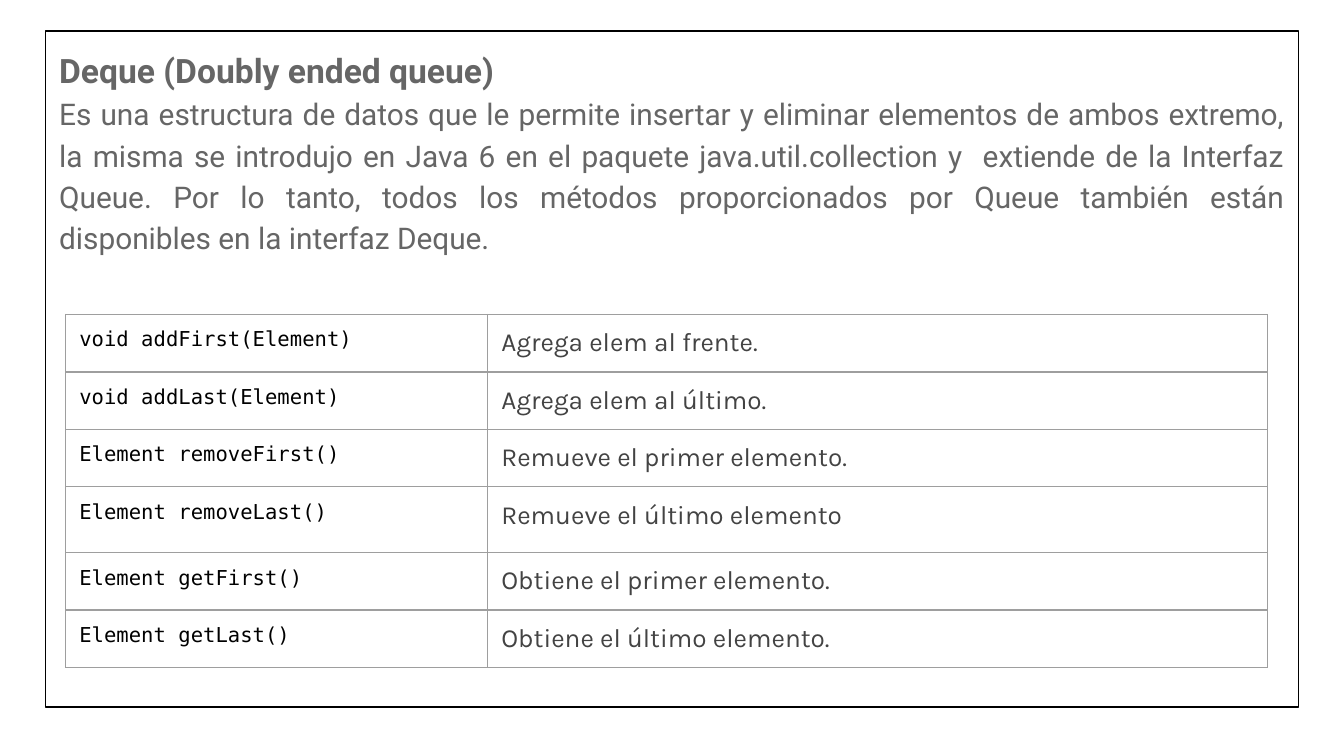
from lxml import etree
from pptx import Presentation
from pptx.dml import color
from pptx.enum import text
from pptx.oxml import ns
from pptx.util import Inches, Pt

SLIDE_WIDTH = 10
HEADING = "Deque (Doubly ended queue)"
DESCRIPTION = (
    "Es una estructura de datos que le permite insertar y eliminar elementos "
    "de ambos extremo, la misma se introdujo en Java 6 en el paquete "
    "java.util.collection y  extiende de la Interfaz Queue. Por lo tanto, "
    "todos los métodos proporcionados por Queue también están disponibles "
    "en la interfaz Deque. "
)
METHODS = [
    ("void addFirst(Element)", "Agrega elem al frente."),
    ("void addLast(Element)", "Agrega elem al último."),
    ("Element removeFirst()", "Remueve el primer elemento."),
    ("Element removeLast()", "Remueve el último elemento"),
    ("Element getFirst()", "Obtiene el primer elemento."),
    ("Element getLast()", "Obtiene el último elemento."),
]
COLUMN_WIDTHS = (3.14, 5.8)
ROW_HEIGHT = 0.41
TALL_ROW, TALL_ROW_HEIGHT = 3, 0.49


def rgb(value):
    return color.RGBColor.from_string(value)


def set_margins(target):
    for side in ("left", "right", "top", "bottom"):
        setattr(target, f"margin_{side}", Inches(0.1))


def write(paragraph, content, *, size, font, fill, bold=False):
    run = paragraph.add_run()
    run.text = content
    run.font.size = Pt(size)
    run.font.name = font
    run.font.bold = bold
    run.font.color.rgb = rgb(fill)


def format_body_paragraph(paragraph):
    properties = paragraph._p.get_or_add_pPr()
    properties.set("marL", "0")
    properties.set("indent", "0")
    etree.SubElement(properties, ns.qn("a:buNone"))
    paragraph.alignment = text.PP_ALIGN.JUSTIFY
    paragraph.line_spacing = 1.15
    paragraph.space_before = Pt(0)
    paragraph.space_after = Pt(0)


def fill_description(body):
    body.left, body.top = Inches(0.34), Inches(0.23)
    body.width, body.height = Inches(9.32), Inches(5.03)
    body.line.color.rgb = rgb("000000")
    body.line.width = Pt(0.75)
    frame = body.text_frame
    frame.word_wrap = True
    frame.auto_size = text.MSO_AUTO_SIZE.NONE
    frame.vertical_anchor = text.MSO_ANCHOR.TOP
    set_margins(frame)
    heading, description = frame.paragraphs[0], frame.add_paragraph()
    for paragraph in (heading, description):
        format_body_paragraph(paragraph)
    write(heading, HEADING, size=18, font="Roboto", fill="666666", bold=True)
    write(description, DESCRIPTION, size=16, font="Roboto", fill="666666")


def set_borders(cell, line_color, width):
    properties = cell._tc.get_or_add_tcPr()
    for side in ("lnL", "lnR", "lnT", "lnB"):
        line = etree.SubElement(properties, ns.qn(f"a:{side}"), w=str(Pt(width)))
        fill = etree.SubElement(line, ns.qn("a:solidFill"))
        etree.SubElement(fill, ns.qn("a:srgbClr"), val=line_color)


def fill_cell(cell, content, **text_format):
    set_margins(cell)
    set_borders(cell, "9E9E9E", 0.75)
    cell.fill.background()
    write(cell.text_frame.paragraphs[0], content, **text_format)


def add_method_table(slide):
    heights = [ROW_HEIGHT] * len(METHODS)
    heights[TALL_ROW] = TALL_ROW_HEIGHT
    table = slide.shapes.add_table(
        len(METHODS), len(COLUMN_WIDTHS), Inches(0.49), Inches(2.34),
        Inches(sum(COLUMN_WIDTHS)), Inches(sum(heights)),
    ).table
    table.first_row = False
    table.horz_banding = False
    for column, width in zip(table.columns, COLUMN_WIDTHS):
        column.width = Inches(width)
    for row, height, (signature, meaning) in zip(table.rows, heights, METHODS):
        row.height = Inches(height)
        fill_cell(row.cells[0], signature, size=11, font="DejaVu Sans Mono", fill="000000")
        fill_cell(row.cells[1], meaning, size=14, font="Karla", fill="434343")


def main():
    presentation = Presentation()
    presentation.slide_width = Inches(SLIDE_WIDTH)
    presentation.slide_height = Inches(SLIDE_WIDTH * 9 / 16)
    slide = presentation.slides.add_slide(presentation.slide_layouts[1])
    title = slide.shapes.title
    title._element.getparent().remove(title._element)
    fill_description(slide.placeholders[1])
    add_method_table(slide)
    presentation.save("out.pptx")


if __name__ == "__main__":
    main()
